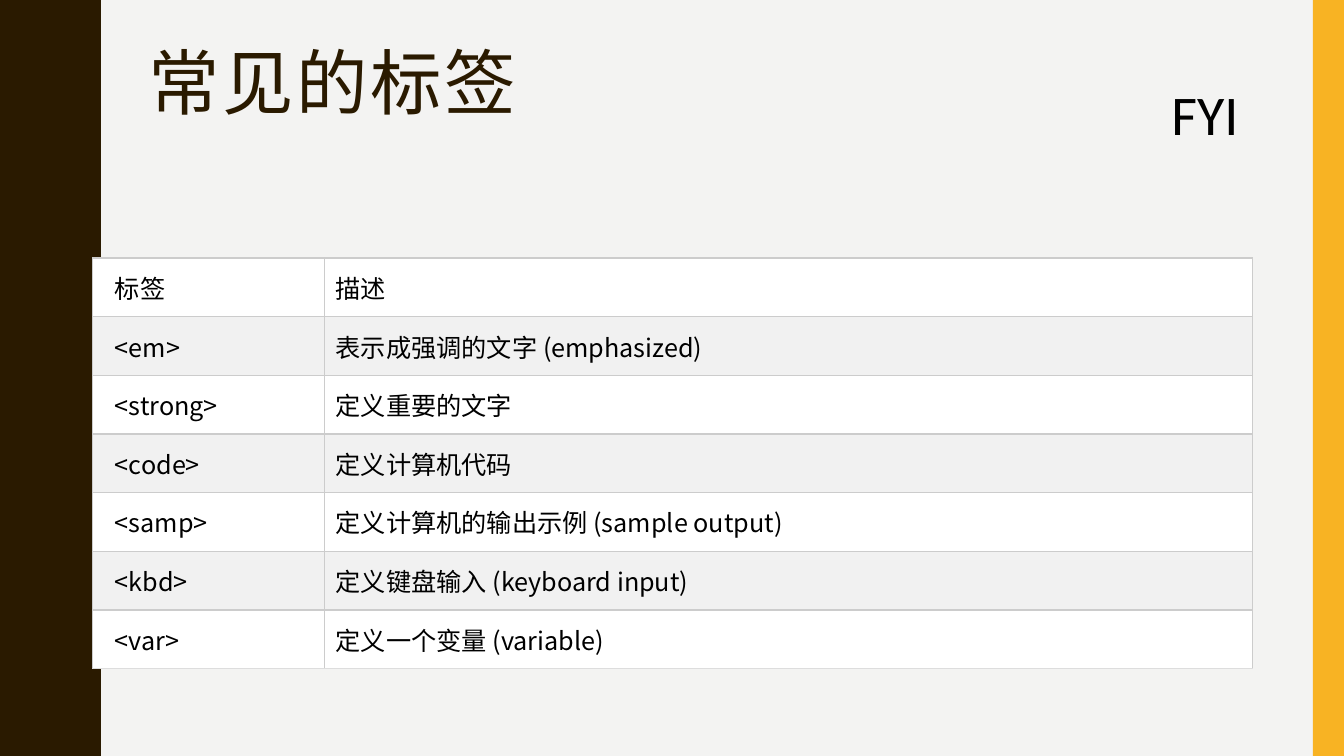
"""Build a slide with a table of common HTML tags."""
from pptx import Presentation
from pptx.dml.color import RGBColor
from pptx.enum.shapes import MSO_SHAPE
from pptx.enum.text import MSO_ANCHOR, MSO_AUTO_SIZE, PP_ALIGN
from pptx.oxml.ns import qn
from pptx.util import Inches, Pt
from lxml.etree import SubElement


def paint(item, color):
    item.fill.solid()
    item.fill.fore_color.rgb = RGBColor.from_string(color)


def style(run, face, size, color):
    run.font.name = face
    run.font.size = Pt(size)
    paint(run.font, color)
    SubElement(run.font._element, qn("a:ea"), typeface=face)


CJK = "Noto Sans CJK SC"
BROWN = "2A1A00"
BLACK = "000000"
ROWS = [
    ("标签", "描述"),
    ("<em>", "表示成强调的文字 (emphasized)"),
    ("<strong>", "定义重要的文字"),
    ("<code>", "定义计算机代码"),
    ("<samp>", "定义计算机的输出示例 (sample output)"),
    ("<kbd>", "定义键盘输入 (keyboard input)"),
    ("<var>", "定义一个变量 (variable)"),
]

deck = Presentation()
deck.slide_width = Inches(13.33)
deck.slide_height = Inches(7.5)
slide = deck.slides.add_slide(deck.slide_layouts[5])
paint(slide.background, "F3F3F2")
shapes = slide.shapes

rise = [(0.78, 0), (0.78, 0.07), (0.79, 0.14), (0.8, 0.2), (0.81, 0.25),
        (0.83, 0.29), (0.85, 0.33), (0.87, 0.38), (0.89, 0.42), (0.91, 0.46),
        (0.93, 0.5), (0.95, 0.55), (0.96, 0.61), (0.97, 0.68), (0.97, 0.75)]
wave = rise + [(x, 1.5 - y) for x, y in rise[-2::-1]]
edge = [(x, y + 1.5 * turn) for turn in range(5) for x, y in wave]
pen = shapes.build_freeform(0, 0, scale=Inches(1))
pen.add_line_segments(edge + [(0, 7.5)], close=True)
band = pen.convert_to_shape()
bar = shapes.add_shape(MSO_SHAPE.RECTANGLE, Inches(13.02), 0, Inches(0.31), Inches(7.5))
for strip, color in ((band, BROWN), (bar, "F8B323")):
    paint(strip, color)
    strip.line.fill.background()
    strip.shadow.inherit = False

title = shapes.title
title.left, title.top = Inches(1.37), Inches(0.42)
title.width, title.height = Inches(11.13), Inches(1.63)
frame = title.text_frame
frame.text = "常见的标签"
frame.vertical_anchor = MSO_ANCHOR.TOP
frame.auto_size = MSO_AUTO_SIZE.NONE
head = frame.paragraphs[0]
head.alignment = PP_ALIGN.LEFT
head.line_spacing = 0.9
style(head.runs[0], CJK, 51, BROWN)
head.runs[0].font._element.set("spc", "200")

table = shapes.add_table(len(ROWS), 2, Inches(0.92), Inches(2.56),
                         Inches(11.5), Inches(3.64)).table
table.columns[0].width = Inches(2.3)
table.columns[1].width = Inches(9.2)
for r, row in enumerate(ROWS):
    table.rows[r].height = Inches(0.52)
    for c, text in enumerate(row):
        cell = table.cell(r, c)
        cell.text = text
        cell.margin_left = Inches(0.11 if c else 0.22)
        cell.margin_right = cell.margin_top = cell.margin_bottom = Inches(0.11)
        style(cell.text_frame.paragraphs[0].runs[0], CJK, 18, BLACK)
        props = cell._tc.get_or_add_tcPr()
        for side in "LRTB":
            last = side == "B" and r == len(ROWS) - 1
            line = SubElement(props, qn("a:ln" + side), w=str(Pt(1)))
            fill = SubElement(line, qn("a:solidFill"))
            SubElement(fill, qn("a:srgbClr"), val="DDDDDD" if last else "CCCCCC")
        paint(cell, "F1F1F1" if r % 2 else "FFFFFF")

note = shapes.add_textbox(Inches(11.52), Inches(0.74), Inches(0.9), Inches(0.77))
note.text_frame.text = "FYI"
note.text_frame.word_wrap = False
note.text_frame.auto_size = MSO_AUTO_SIZE.SHAPE_TO_FIT_TEXT
style(note.text_frame.paragraphs[0].runs[0], "Calibri", 40, BLACK)

deck.save("out.pptx")
